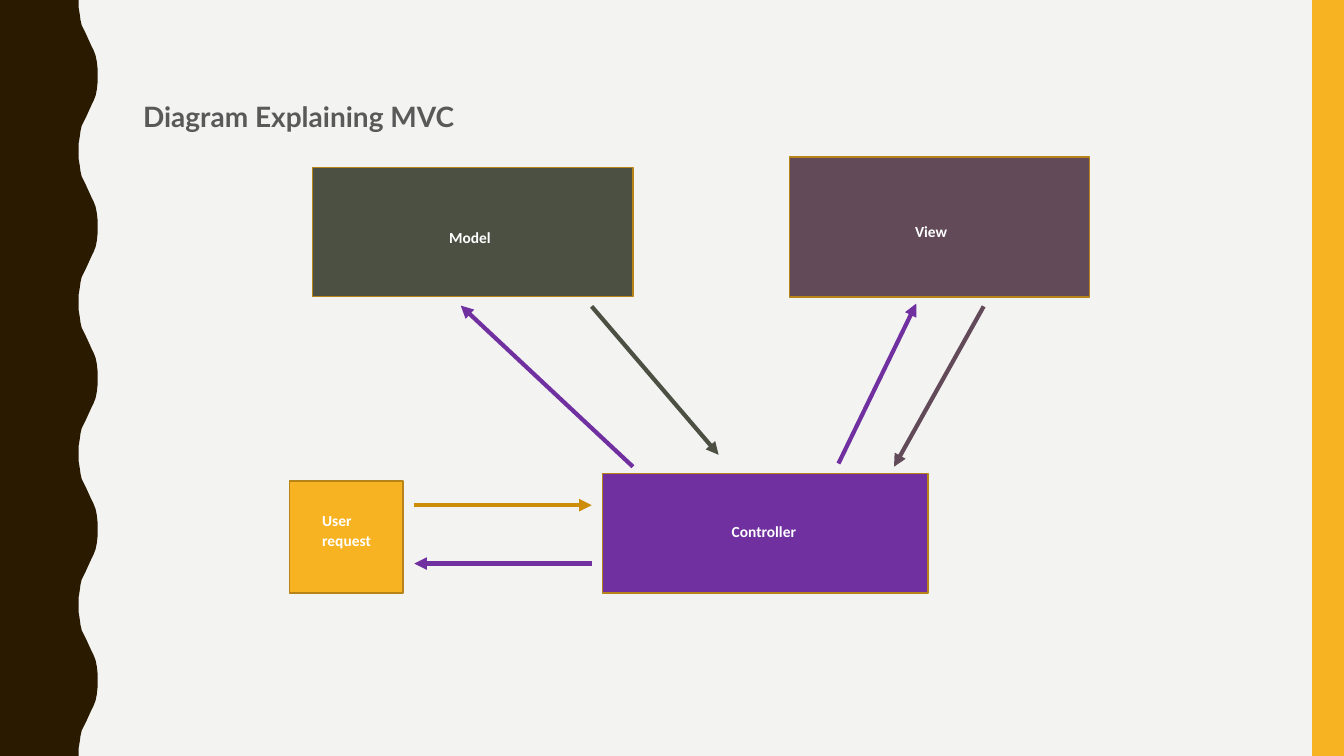
from dataclasses import dataclass

from lxml import etree
from pptx import Presentation
from pptx.dml.color import RGBColor
from pptx.enum.shapes import MSO_CONNECTOR, MSO_SHAPE
from pptx.enum.text import MSO_ANCHOR, MSO_AUTO_SIZE, PP_ALIGN
from pptx.oxml.ns import qn
from pptx.util import Cm, Pt

RECT = MSO_SHAPE.RECTANGLE
LINE = MSO_CONNECTOR.STRAIGHT
TOP = MSO_ANCHOR.TOP
LEFT = PP_ALIGN.LEFT
FIXED = MSO_AUTO_SIZE.NONE

WIDE, HIGH = 33.87, 19.05


@dataclass(frozen=True)
class Theme:
    """Colours, fonts and type sizes of the slide."""
    paper: str = "F3F3F2"
    brown: str = "2A1A00"
    gold: str = "F8B323"
    amber: str = "CE8D07"
    edge: str = "B7841A"
    grey: str = "595959"
    white: str = "FFFFFF"
    olive: str = "4C5043"
    plum: str = "624A58"
    purple: str = "7030A0"
    head_font: str = "Lato"
    font: str = "Calibri"
    head_size: int = 20
    size: int = 11


THEME = Theme()

# Half a wave, in hundredths of a centimetre: x and y of each point.
HALF = 190.5
CURVE = [(198, 0), (198, 18), (201, 36), (203, 51), (206, 64),
         (211, 74), (216, 84), (221, 95), (226, 106), (231, 117),
         (236, 127), (241, 140), (244, 155), (246, 173), (246, HALF)]
WAVES = 5

# Box: fill, left, top, width, height; then its label in the same way.
BOXES = [
    (THEME.olive, (7.87, 4.22, 8.08, 3.25),
     "Model", (11.07, 5.59, 2.29, 1.07)),
    (THEME.plum, (19.89, 3.96, 7.57, 3.53),
     "View", (22.81, 5.44, 1.73, 1.19)),
    (THEME.purple, (15.19, 11.94, 8.2, 3),
     "Controller", (18.19, 13, 2.95, 1.12)),
    (THEME.gold, (7.29, 12.12, 2.87, 2.82),
     "User request", (7.87, 12.73, 2.03, 1.55)),
]

# Arrow: colour, start x and y, end x and y.
ARROWS = [
    (THEME.amber, (10.44, 12.73, 14.91, 12.73)),
    (THEME.purple, (15.95, 11.76, 11.61, 7.7)),
    (THEME.olive, (14.91, 7.72, 18.11, 11.46)),
    (THEME.purple, (21.13, 11.68, 23.09, 7.65)),
    (THEME.plum, (24.79, 7.72, 22.53, 11.76)),
    (THEME.purple, (14.91, 14.2, 10.44, 14.2)),
]


def tint(hue):
    """Turn a hex string into a colour."""
    return RGBColor.from_string(hue)


def paint(shape, fill, edge=None):
    """Give a shape a flat fill, an optional edge and no shadow."""
    shape.shadow.inherit = False
    shape.fill.solid()
    shape.fill.fore_color.rgb = tint(fill)
    if edge:
        shape.line.color.rgb = tint(edge)
        shape.line.width = Pt(1)
    else:
        shape.line.fill.background()


def write(shape, text, font, size, hue, lead, before=0, after=0):
    """Put one bold, left-aligned paragraph at the top of a shape."""
    frame = shape.text_frame
    frame.word_wrap = True
    frame.auto_size = FIXED
    frame.vertical_anchor = TOP
    para = frame.paragraphs[0]
    para.alignment = LEFT
    para.line_spacing = lead
    para.space_before = Pt(before)
    para.space_after = Pt(after)
    run = para.add_run()
    run.text = text
    run.font.name = font
    run.font.size = Pt(size)
    run.font.bold = True
    run.font.color.rgb = tint(hue)


def add_title(slide, text):
    """Place and fill the title placeholder."""
    title = slide.shapes.title
    title.left, title.top = Cm(3.35), Cm(2.29)
    title.width, title.height = Cm(28.27), Cm(1.4)
    write(title, text, THEME.head_font, THEME.head_size, THEME.grey,
          1.1, before=7)


def add_rect(slide, place, fill, edge=None):
    """Add a painted rectangle at left, top, width, height."""
    rect = slide.shapes.add_shape(RECT, *map(Cm, place))
    paint(rect, fill, edge)
    return rect


def add_wave(slide):
    """Add the wavy band along the left side."""
    back = [(x, 2 * HALF - y) for x, y in reversed(CURVE)]
    cycle = CURVE + back[1:]
    points = [(x, y + 2 * HALF * turn)
              for turn in range(WAVES) for x, y in cycle]
    points.append((0, 2 * HALF * WAVES))
    pen = slide.shapes.build_freeform(0, 0, scale=Cm(1) / 100)
    pen.add_line_segments(points, close=True)
    paint(pen.convert_to_shape(), THEME.brown)


def add_box(slide, fill, place, text, spot):
    """Add a part of the diagram and its label."""
    add_rect(slide, place, fill, THEME.edge)
    label = add_rect(slide, spot, fill)
    write(label, text, THEME.font, THEME.size, THEME.white, 1.07, after=8)


def add_arrow(slide, hue, ends):
    """Add a thick arrow with a triangle at its end."""
    arrow = slide.shapes.add_connector(LINE, *map(Cm, ends))
    arrow.line.color.rgb = tint(hue)
    arrow.line.width = Pt(3)
    line = arrow.line._get_or_add_ln()
    etree.SubElement(line, qn("a:tailEnd"), type="triangle")
    etree.SubElement(arrow._element.spPr, qn("a:effectLst"))


def main():
    """Build the slide and save it."""
    deck = Presentation()
    deck.slide_width, deck.slide_height = Cm(WIDE), Cm(HIGH)
    slide = deck.slides.add_slide(deck.slide_layouts[5])
    slide.background.fill.solid()
    slide.background.fill.fore_color.rgb = tint(THEME.paper)
    add_wave(slide)
    add_rect(slide, (33.07, 0, 0.8, HIGH), THEME.gold)
    add_title(slide, "Diagram Explaining MVC")
    for box in BOXES:
        add_box(slide, *box)
    for arrow in ARROWS:
        add_arrow(slide, *arrow)
    deck.save("out.pptx")


main()
